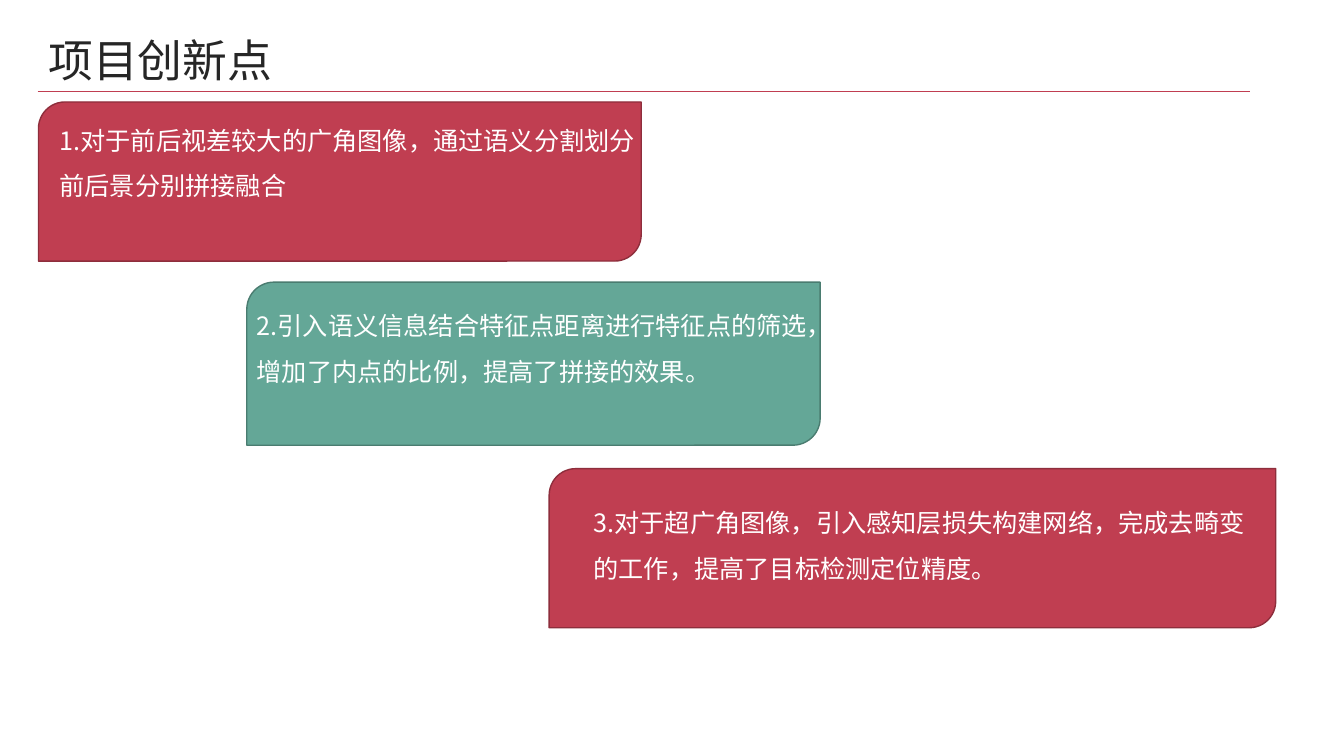
from lxml import etree
from pptx import Presentation
from pptx.dml.color import RGBColor
from pptx.enum import shapes, text
from pptx.oxml import ns
from pptx.util import Cm, Pt

RED = RGBColor(0xC0, 0x3E, 0x51)
DARK_RED = RGBColor(0x8E, 0x2E, 0x3C)
GREEN = RGBColor(0x64, 0xA7, 0x97)
DARK_GREEN = RGBColor(0x4A, 0x7C, 0x70)
INK = RGBColor(0x26, 0x26, 0x26)
WHITE = RGBColor(0xFF, 0xFF, 0xFF)
LATIN_FONT = "Arial"
CJK_FONT = "Noto Sans CJK SC"

INNOVATIONS = [
    ((0.97, 2.57, 15.19, 4.01), RED, DARK_RED, (1.25, 2.64, 15.06, 3.33),
     "1.对于前后视差较大的广角图像，通过语义分割划分前后景分别拼接融合"),
    ((6.22, 7.11, 14.45, 4.11), GREEN, DARK_GREEN, (6.22, 7.32, 14.4, 3.71),
     "2.引入语义信息结合特征点距离进行特征点的筛选，增加了内点的比例，提高了拼接的效果。"),
    ((13.84, 11.81, 18.31, 4.01), RED, DARK_RED, (14.71, 12.29, 17.25, 2.57),
     "3.对于超广角图像，引入感知层损失构建网络，完成去畸变的工作，提高了目标检测定位精度。"),
]


def add_card(s, box, fill, line):
    """Add a panel with two diagonally opposite round corners."""
    sp = s.shapes.add_shape(shapes.MSO_SHAPE.ROUND_2_DIAG_RECTANGLE, *map(Cm, box))
    sp.shadow.inherit = False
    sp.fill.solid()
    sp.fill.fore_color.rgb = fill
    sp.line.color.rgb = line
    sp.line.width = Pt(1)


def add_text(s, box, content, size, color, font, spacing=None):
    """Add a wrapped text box holding one paragraph."""
    tf = s.shapes.add_textbox(*map(Cm, box)).text_frame
    tf.word_wrap = True
    tf.auto_size = text.MSO_AUTO_SIZE.SHAPE_TO_FIT_TEXT
    p = tf.paragraphs[0]
    p.text = content
    p.line_spacing = spacing
    r = p.runs[0]
    r.font.size = Pt(size)
    r.font.name = font
    r.font.color.rgb = color
    ea = etree.SubElement(r.font._element, ns.qn("a:ea"))
    ea.set("typeface", CJK_FONT)


def add_rule(s, left, right, top):
    """Add the thin horizontal line below the title."""
    line = s.shapes.add_connector(
        shapes.MSO_CONNECTOR.STRAIGHT, Cm(left), Cm(top), Cm(right), Cm(top))
    line.line.color.rgb = RED
    line.line.width = Pt(0.5)
    etree.SubElement(line._element.spPr, ns.qn("a:effectLst"))


def main():
    """Build and save the slide."""
    prs = Presentation()
    prs.slide_width, prs.slide_height = Cm(33.87), Cm(19.05)
    s = prs.slides.add_slide(prs.slide_layouts[6])
    for card, fill, line, _, _ in INNOVATIONS:
        add_card(s, card, fill, line)
    add_text(s, (0.97, 0.69, 8.66, 1.63), "项目创新点", 32, INK, LATIN_FONT)
    add_rule(s, 0.95, 31.5, 2.3)
    for _, _, _, box, content in INNOVATIONS:
        add_text(s, box, content, 18, WHITE, CJK_FONT, 1.5)
    prs.save("out.pptx")


if __name__ == "__main__":
    main()
